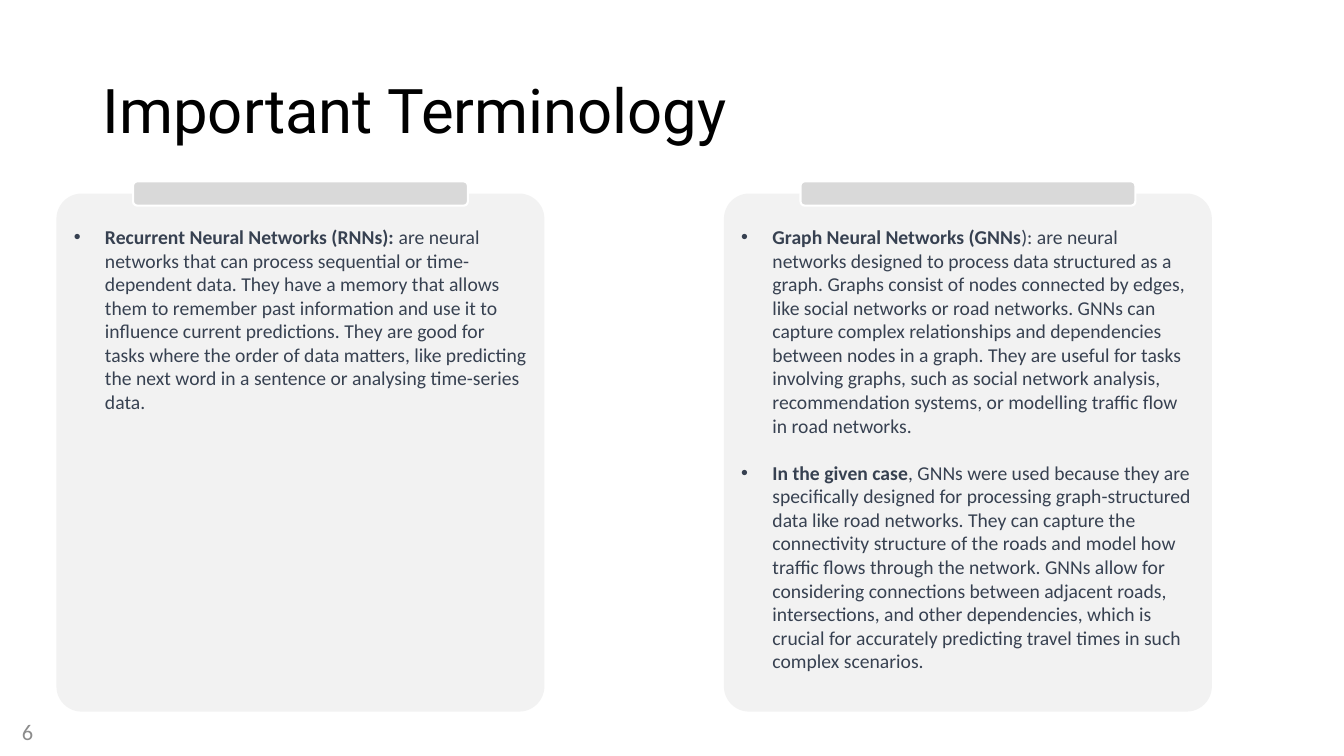
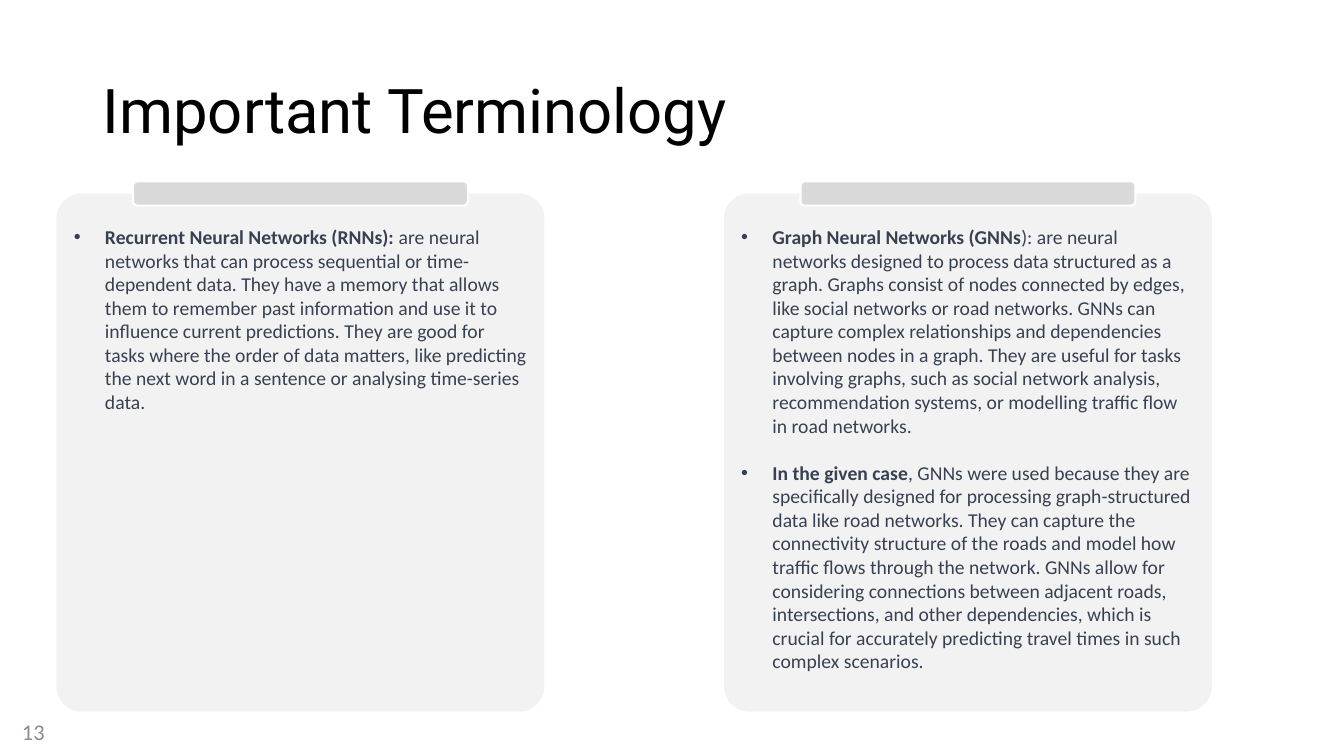
from pptx import Presentation
from pptx.dml.color import RGBColor
from pptx.enum.shapes import MSO_SHAPE as Shape
from pptx.enum.text import MSO_ANCHOR as Anchor, PP_ALIGN as Align
from pptx.oxml.ns import qn
from pptx.util import Inches, Pt
from lxml import etree

BLACK = RGBColor(0x00, 0x00, 0x00)
WHITE = RGBColor(0xFF, 0xFF, 0xFF)
SLATE = RGBColor(0x37, 0x41, 0x51)
GREY = RGBColor(0x8C, 0x8C, 0x8C)
CARD_FILL = RGBColor(0xF2, 0xF2, 0xF2)
TAB_FILL = RGBColor(0xD9, 0xD9, 0xD9)
HEADING_FONT, BODY_FONT = "Roboto", "Calibri"

# Boxes in inches: left, top, width, height
TITLE_BOX = (0.92, 0.4, 11.5, 1.45)
NUMBER_BOX = (0.12, 7.06, 3, 0.4)
CARD_LEFT, CARD_TOP, CARD_WIDTH, CARD_HEIGHT = 0.56, 1.92, 4.84, 5.14
CARD_PITCH = 6.62
TAB_WIDTH, TAB_HEIGHT = 3.32, 0.24
BULLET_INDENT = 0.31

TITLE = "Important Terminology"
PAGE_NUMBERS = (6, 13)

# One list per card; each entry is a bold lead and the text that follows it
CARDS = [
    [("Recurrent Neural Networks (RNNs): ",
      "are neural networks that can process sequential or time-dependent data. "
      "They have a memory that allows them to remember past information and use "
      "it to influence current predictions. They are good for tasks where the "
      "order of data matters, like predicting the next word in a sentence or "
      "analysing time-series data.")],
    [("Graph Neural Networks (GNNs",
      "): are neural networks designed to process data structured as a graph. "
      "Graphs consist of nodes connected by edges, like social networks or road "
      "networks. GNNs can capture complex relationships and dependencies between "
      "nodes in a graph. They are useful for tasks involving graphs, such as "
      "social network analysis, recommendation systems, or modelling traffic "
      "flow in road networks."),
     ("In the given case",
      ", GNNs were used because they are specifically designed for processing "
      "graph-structured data like road networks. They can capture the "
      "connectivity structure of the roads and model how traffic flows through "
      "the network. GNNs allow for considering connections between adjacent "
      "roads, intersections, and other dependencies, which is crucial for "
      "accurately predicting travel times in such complex scenarios.")],
]


def add_span(para, text, font, size, color, bold=False):
    span = para.add_run()
    span.text = text
    span.font.name = font
    span.font.size = Pt(size)
    span.font.color.rgb = color
    span.font.bold = bold


def add_label(page, box, text, font, size, color, spacing=1.0):
    """One line of text, centred vertically in its box."""
    frame = page.shapes.add_textbox(*map(Inches, box)).text_frame
    frame.word_wrap = True
    frame.vertical_anchor = Anchor.MIDDLE
    para = frame.paragraphs[0]
    para.line_spacing = spacing
    add_span(para, text, font, size, color)


def add_panel(page, box, fill):
    panel = page.shapes.add_shape(Shape.ROUNDED_RECTANGLE, *map(Inches, box))
    panel.shadow.inherit = False
    panel.fill.solid()
    panel.fill.fore_color.rgb = fill
    panel.line.fill.background()
    return panel


def set_bullet(para):
    properties = para._p.get_or_add_pPr()
    properties.set("marL", str(Inches(BULLET_INDENT)))
    properties.set("indent", str(-Inches(BULLET_INDENT)))
    etree.SubElement(properties, qn("a:buFont")).set("typeface", "Arial")
    etree.SubElement(properties, qn("a:buChar")).set("char", "•")


def add_card(page, box, entries):
    """Rounded card with bullets and a tab centred on its top edge."""
    left, top, width, height = box
    card = add_panel(page, box, CARD_FILL)
    card.adjustments[0] = 0.052
    frame = card.text_frame
    frame.word_wrap = True
    frame.vertical_anchor = Anchor.TOP
    frame.margin_left = frame.margin_right = Inches(0.1)
    frame.margin_top, frame.margin_bottom = Inches(0.24), Inches(0.05)
    for index, (lead, body) in enumerate(entries):
        para = frame.add_paragraph() if index else frame.paragraphs[0]
        set_bullet(para)
        para.alignment = Align.LEFT
        if index:
            para.space_before = Pt(17)
        add_span(para, lead, BODY_FONT, 14, SLATE, bold=True)
        add_span(para, body, BODY_FONT, 14, SLATE)

    # Tab
    tab_box = (left + (width - TAB_WIDTH) / 2, top - TAB_HEIGHT / 2,
               TAB_WIDTH, TAB_HEIGHT)
    tab = add_panel(page, tab_box, TAB_FILL)
    tab.line.color.rgb = WHITE
    tab.line.width = Pt(1.5)


def add_terminology_slide(deck, number):
    page = deck.slides.add_slide(deck.slide_layouts[6])
    # Title and page number
    add_label(page, TITLE_BOX, TITLE, HEADING_FONT, 44, BLACK, spacing=0.9)
    add_label(page, NUMBER_BOX, str(number), BODY_FONT, 16, GREY)
    # Cards
    for column, entries in enumerate(CARDS):
        left = CARD_LEFT + column * CARD_PITCH
        add_card(page, (left, CARD_TOP, CARD_WIDTH, CARD_HEIGHT), entries)


def main():
    deck = Presentation()
    deck.slide_width, deck.slide_height = Inches(13.33), Inches(7.5)
    for number in PAGE_NUMBERS:
        add_terminology_slide(deck, number)
    deck.save("out.pptx")


if __name__ == "__main__":
    main()
